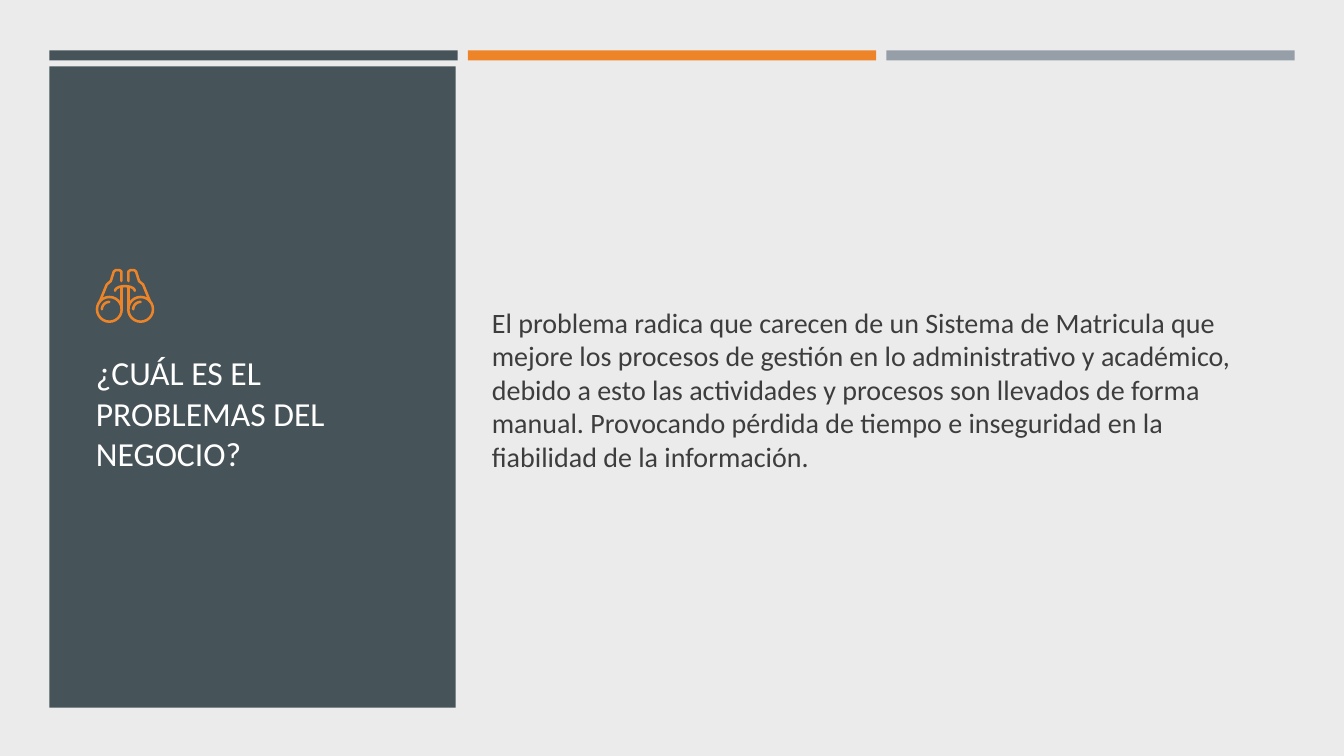
import math
from dataclasses import dataclass

from pptx import Presentation
from pptx.dml.color import RGBColor
from pptx.enum.shapes import MSO_SHAPE
from pptx.enum.text import MSO_ANCHOR
from pptx.util import Inches, Pt

RECTANGLE = MSO_SHAPE.RECTANGLE
OVAL = MSO_SHAPE.OVAL
MIDDLE = MSO_ANCHOR.MIDDLE


@dataclass(frozen=True)
class Theme:
    background: str = "EBEBEB"
    slate: str = "465359"
    orange: str = "ED8428"
    gray: str = "969FA7"
    body_text: str = "3D3D3D"
    title_text: str = "FFFFFF"
    font: str = "Calibri"
    title_size: int = 24
    body_size: int = 20
    icon_stroke: float = 1.8


@dataclass(frozen=True)
class Box:
    left: float
    top: float
    width: float
    height: float

    def share(self, x, y, width, height):
        """Box placed by shares of this one."""
        return Box(self.left + x * self.width, self.top + y * self.height,
                   width * self.width, height * self.height)

    def emu(self):
        return [Inches(v) for v in (self.left, self.top, self.width, self.height)]


THEME = Theme()
SLIDE = Box(0, 0, 13.33, 7.5)
MARGIN, COLUMN, GUTTER = 0.49, 4.05, 0.1
ICON_COLUMNS, ICON_ROWS = 58, 54

TITLE = "¿CUÁL ES EL PROBLEMAS DEL NEGOCIO?"
BODY = ("El problema radica que carecen de un Sistema de Matricula que mejore "
        "los procesos de gestión en lo administrativo y académico, debido a esto "
        "las actividades y procesos son llevados de forma manual. Provocando "
        "pérdida de tiempo e inseguridad en la fiabilidad de la información.")


def add_block(slide, box, color):
    shape = slide.shapes.add_shape(RECTANGLE, *box.emu())
    shape.shadow.inherit = False
    shape.fill.solid()
    shape.fill.fore_color.rgb = RGBColor.from_string(color)
    shape.line.fill.background()


def add_text(slide, box, text, size, color):
    frame = slide.shapes.add_textbox(*box.emu()).text_frame
    frame.word_wrap = True
    frame.vertical_anchor = MIDDLE
    paragraph = frame.paragraphs[0]
    paragraph.text = text
    paragraph.font.name = THEME.font
    paragraph.font.size = Pt(size)
    paragraph.font.color.rgb = RGBColor.from_string(color)


def outline(shape):
    shape.shadow.inherit = False
    shape.fill.background()
    shape.line.color.rgb = RGBColor.from_string(THEME.orange)
    shape.line.width = Pt(THEME.icon_stroke)
    shape.line.fill._xPr.set("cap", "rnd")


def arc(center_x, center_y, radius_x, radius_y, start, end, steps=12):
    """Points of an elliptical arc, with angles in degrees clockwise from the right."""
    angles = [math.radians(start + (end - start) * i / steps) for i in range(steps + 1)]
    return [(center_x + radius_x * math.cos(a), center_y + radius_y * math.sin(a))
            for a in angles]


def draw_binoculars(slide, box):
    unit = box.width / ICON_COLUMNS

    def stroke(points):
        points = [(Inches(box.left + x * unit), Inches(box.top + y * unit))
                  for x, y in points]
        builder = slide.shapes.build_freeform(*points[0])
        builder.add_line_segments(points[1:], close=False)
        outline(builder.convert_to_shape())

    barrel = [(4, 33), (11, 16), (15, 12.5), (18, 3), (20, 1.6), (23.5, 1.6),
              (25.5, 3), (25.5, 12.5)]
    tube = [(25.5, 18), (25.5, 40)]
    lens_x, lens_y, lens_radius = 13.5, 40.5, 12.25

    # Two mirrored halves
    for mirrored in (False, True):
        for points in (barrel, tube):
            stroke([(ICON_COLUMNS - x if mirrored else x, y) for x, y in points])
        center_x = ICON_COLUMNS - lens_x if mirrored else lens_x
        lens = Box(box.left + (center_x - lens_radius) * unit,
                   box.top + (lens_y - lens_radius) * unit,
                   2 * lens_radius * unit, 2 * lens_radius * unit)
        outline(slide.shapes.add_shape(OVAL, *lens.emu()))
        stroke(arc(center_x, lens_y, 7.3, 7.3, 180, 270))

    # Bridge between the barrels
    stroke(arc(ICON_COLUMNS / 2, 22.2, 9.8, 4.7, 180, 360))


def draw_top_bars(slide, box):
    for index, color in enumerate((THEME.slate, THEME.orange, THEME.gray)):
        left = box.left + index * (COLUMN + GUTTER)
        add_block(slide, Box(left, box.top, COLUMN, box.height), color)


def draw_title_panel(slide, box):
    add_block(slide, box, THEME.slate)
    add_text(slide, box.share(0.09, 0.39, 0.82, 0.3), TITLE,
             THEME.title_size, THEME.title_text)
    icon_width = 0.144 * box.width
    draw_binoculars(slide, Box(box.left + 0.114 * box.width,
                               box.top + 0.315 * box.height,
                               icon_width, icon_width * ICON_ROWS / ICON_COLUMNS))


def draw_body(slide, box):
    add_text(slide, box, BODY, THEME.body_size, THEME.body_text)


def main():
    presentation = Presentation()
    presentation.slide_width = Inches(SLIDE.width)
    presentation.slide_height = Inches(SLIDE.height)
    slide = presentation.slides.add_slide(presentation.slide_layouts[6])
    slide.background.fill.solid()
    slide.background.fill.fore_color.rgb = RGBColor.from_string(THEME.background)

    draw_top_bars(slide, Box(MARGIN, 0.5, SLIDE.width - 2 * MARGIN, 0.1))
    draw_title_panel(slide, Box(MARGIN, 0.66, 4.03, 6.36))
    draw_body(slide, Box(4.78, 1.29, 7.71, 5.14))
    presentation.save("out.pptx")


if __name__ == "__main__":
    main()
